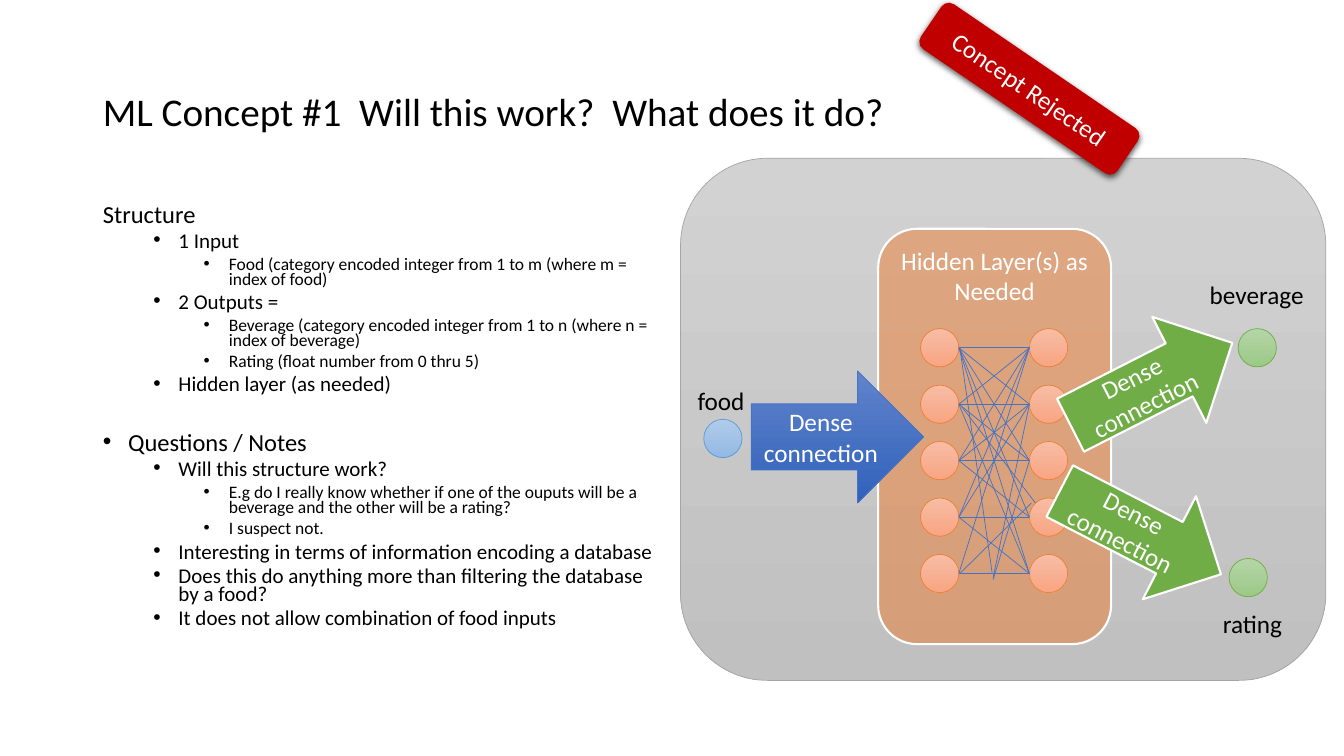
from lxml import etree
from pptx import Presentation
from pptx.dml.color import RGBColor
from pptx.enum.shapes import MSO_CONNECTOR, MSO_SHAPE
from pptx.enum.text import MSO_ANCHOR, MSO_AUTO_SIZE, PP_ALIGN
from pptx.oxml import parse_xml
from pptx.oxml.ns import nsdecls, qn
from pptx.util import Inches, Pt

ROUND, OVAL, ARROW = MSO_SHAPE.ROUNDED_RECTANGLE, MSO_SHAPE.OVAL, MSO_SHAPE.RIGHT_ARROW
STRAIGHT = MSO_CONNECTOR.STRAIGHT
LEFT, CENTER = PP_ALIGN.LEFT, PP_ALIGN.CENTER
TOP, MIDDLE = MSO_ANCHOR.TOP, MSO_ANCHOR.MIDDLE
NO_FIT = MSO_AUTO_SIZE.NONE

FONT = "Calibri"
BLACK, WHITE = "000000", "FFFFFF"
ORANGE, GREEN, BLUE = "ED7D31", "70AD47", "4472C4"
NODE = 0.38
DENSE = "Dense connection"

# level: size, space before, left margin
LEVELS = {0: (17.5, 10, 0.25), 1: (15, 5, 0.75), 2: (12.5, 5, 1.25)}
NOTES = [
    (0, "Structure"),
    (1, "1 Input"),
    (2, "Food (category encoded integer from 1 to m (where m = index of food)"),
    (1, "2 Outputs ="),
    (2, "Beverage (category encoded integer from 1 to n (where n = index of beverage)"),
    (2, "Rating (float number from 0 thru 5)"),
    (1, "Hidden layer (as needed)"),
    (0, "Questions / Notes"),
    (1, "Will this structure work?"),
    (2, "E.g do I really know whether if one of the ouputs will be a beverage "
        "and the other will be a rating?"),
    (2, "I suspect not."),
    (1, "Interesting in terms of information encoding a database"),
    (1, "Does this do anything more than filtering the database by a food?"),
    (1, "It does not allow combination of food inputs"),
]
SECTION_GAP = 28

# right-hand rows that each left-hand row links to
LINKS = [(0, 1, 2, 3, 4), (0, 1, 2, 4), (0, 1, 2, 3), (0, 1, 3, 4), (0, 4)]
# links that stop short of a node, relative to the panel
LOOSE_LINKS = [(3.1, 4.16, 3.46, 2.44), (3.1, 4.18, 3.46, 3), (2.77, 1.88, 3.09, 4.11),
               (3.52, 3.42, 2.77, 2.44), (3.48, 3.42, 2.77, 4.12)]


def rgb(value):
    """Turn a hex string into a colour."""
    return RGBColor.from_string(value)


def apply(obj, formats):
    """Set every attribute named in a dict of format values."""
    for name, value in formats.items():
        setattr(obj, name, value)


def place(sp, x, y, w, h):
    """Position and size a shape in inches."""
    apply(sp, dict(left=Inches(x), top=Inches(y), width=Inches(w), height=Inches(h)))


def write(p, text, size, color=BLACK):
    """Add one formatted run to a paragraph."""
    r = p.add_run()
    r.text = text
    apply(r.font, dict(name=FONT, size=Pt(size)))
    r.font.color.rgb = rgb(color)


def add_shape(s, kind, box, fill, line=None, width=0.5, text="", anchor=MIDDLE, rotation=0):
    """Add a preset shape; a pair of fills makes a vertical gradient."""
    x, y, w, h = box
    sp = s.shapes.add_shape(kind, Inches(x), Inches(y), Inches(w), Inches(h))
    sp.shadow.inherit = False
    sp.rotation = rotation
    if isinstance(fill, tuple):
        sp.fill.gradient()
        sp.fill.gradient_angle = 270
        for stop, color in zip(sp.fill.gradient_stops, fill):
            stop.color.rgb = rgb(color)
    else:
        sp.fill.solid()
        sp.fill.fore_color.rgb = rgb(fill)
    if line:
        sp.line.color.rgb = rgb(line)
        sp.line.width = Pt(width)
    else:
        sp.line.fill.background()
    if text:
        tf = sp.text_frame
        apply(tf, dict(word_wrap=True, vertical_anchor=anchor))
        p = tf.paragraphs[0]
        p.alignment = CENTER
        write(p, text, 18, WHITE)
    return sp


def add_label(s, text, x, y, w):
    """Add a one-line caption."""
    tf = s.shapes.add_textbox(Inches(x), Inches(y), Inches(w), Inches(0.4)).text_frame
    tf.word_wrap = False
    write(tf.paragraphs[0], text, 18)


def add_node(s, x, y, fill, line):
    """Add one network node."""
    add_shape(s, OVAL, (x, y, NODE, NODE), fill, line)


def add_link(s, x1, y1, x2, y2):
    """Add a thin line between two nodes."""
    c = s.shapes.add_connector(STRAIGHT, Inches(x1), Inches(y1), Inches(x2), Inches(y2))
    c.line.color.rgb = rgb(BLUE)
    c.line.width = Pt(0.5)
    etree.SubElement(c._element.spPr, qn("a:effectLst"))


def add_title(s, box):
    """Fill the title placeholder."""
    sp = s.shapes.title
    place(sp, *box)
    apply(sp.text_frame, dict(vertical_anchor=MIDDLE, word_wrap=True, auto_size=NO_FIT))
    p = sp.text_frame.paragraphs[0]
    apply(p, dict(alignment=LEFT, line_spacing=0.9))
    write(p, "ML Concept #1  Will this work?  What does it do?", 28)


def add_notes(s, box):
    """Fill the body placeholder with the levelled list."""
    sp = s.placeholders[1]
    place(sp, *box)
    tf = sp.text_frame
    apply(tf, dict(vertical_anchor=TOP, word_wrap=True, auto_size=NO_FIT))
    for i, (level, text) in enumerate(NOTES):
        p = tf.add_paragraph() if i else tf.paragraphs[0]
        size, before, margin = LEVELS[level]
        heading = i == 0
        if level == 0 and not heading:
            before = SECTION_GAP
        apply(p, dict(level=level, alignment=LEFT, line_spacing=0.7, space_before=Pt(before)))
        pPr = p._p.get_or_add_pPr()
        pPr.set("marL", str(0 if heading else Inches(margin)))
        pPr.set("indent", str(0 if heading else Inches(-0.25)))
        if heading:
            etree.SubElement(pPr, qn("a:buNone"))
        else:
            etree.SubElement(pPr, qn("a:buFont")).set("typeface", "Arial")
            etree.SubElement(pPr, qn("a:buChar")).set("char", "•")
        write(p, text, size)


def add_hidden_layer(s, x, y):
    """Draw the two columns of hidden nodes and their links, from the panel's corner."""
    layer = add_shape(s, ROUND, (x + 1.96, y + 0.7, 2.31, 4.12), ORANGE, WHITE, 1.5,
                      "Hidden Layer(s) as Needed", TOP)
    color = layer.fill._xPr.find(qn("a:solidFill"))[0]
    etree.SubElement(color, qn("a:alpha")).set("val", "50000")
    left, right = x + 2.38, x + 3.46
    rows = [y + 1.69 + 0.56 * i for i in range(len(LINKS))]
    for column in (left, right):
        for row in rows:
            add_node(s, column, row, ("F7BDA5", "F8A582"), ORANGE)
    for start, ends in zip(rows, LINKS):
        for end in ends:
            add_link(s, left + NODE, start + NODE / 2, right, rows[end] + NODE / 2)
    for x1, y1, x2, y2 in LOOSE_LINKS:
        add_link(s, x + x1, y + y1, x + x2, y + y2)


def add_network(s, box):
    """Draw the network panel from input to outputs."""
    x, y, w, h = box
    add_shape(s, ROUND, box, ("D2D2D2", "C0C0C0"), "A5A5A5")
    for text, dx, dy, width in (("food", 0.07, 2.2, 0.67), ("beverage", 5.15, 1.15, 1.14),
                                ("rating", 5.28, 4.42, 0.8)):
        add_label(s, text, x + dx, y + dy, width)
    add_hidden_layer(s, x, y)
    for dx, dy in ((5.53, 1.69), (5.44, 3.97)):
        add_node(s, x + dx, y + dy, ("B5D5A7", "9CC987"), GREEN)
    add_node(s, x + 0.23, y + 2.59, ("B1CBE9", "93B9E4"), "5B9BD5")
    add_shape(s, ARROW, (x + 0.7, y + 2.11, 1.71, 1.31), ("6183CB", "3062BB"), BLUE, text=DENSE)
    for dx, dy, height, turn in ((3.77, 1.65, 1.18, 333), (3.66, 3.14, 1.15, 27.3)):
        add_shape(s, ARROW, (x + dx, y + dy, 1.8, height), GREEN, WHITE, 1.5, DENSE,
                  rotation=turn)


def add_stamp(s, box):
    """Add the tilted verdict with a soft shadow."""
    sp = add_shape(s, ROUND, box, "C00000", text="Concept Rejected", rotation=34.3)
    sp._element.spPr.find(qn("a:effectLst")).append(parse_xml(
        f'<a:outerShdw {nsdecls("a")} blurRad="{Pt(4.5)}" dist="{Pt(1.5)}" dir="5400000" '
        'rotWithShape="0"><a:srgbClr val="000000"><a:alpha val="63000"/></a:srgbClr>'
        '</a:outerShdw>'))


prs = Presentation()
apply(prs, dict(slide_width=Inches(13.33), slide_height=Inches(7.5)))
s = prs.slides.add_slide(prs.slide_layouts[1])
add_network(s, (6.75, 1.57, 6.4, 5.18))
add_title(s, (0.92, 0.4, 11.5, 1.45))
add_notes(s, (0.92, 2, 5.67, 4.76))
add_stamp(s, (9.03, 0.61, 2.36, 0.54))
prs.save("out.pptx")
